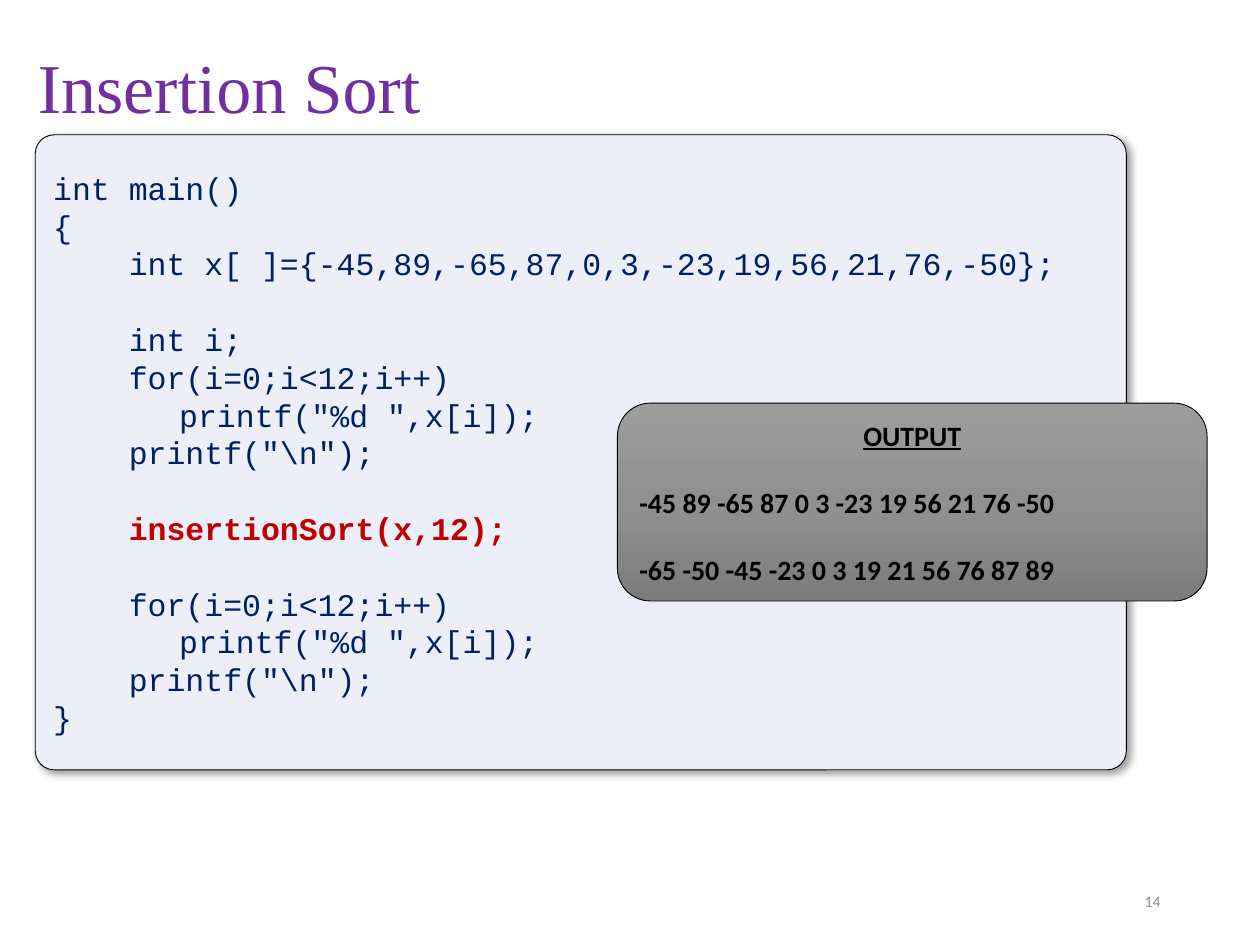
import copy

import pptx
import pptx.dml.color
import pptx.enum.shapes
import pptx.enum.text
import pptx.oxml
import pptx.oxml.ns
import pptx.util

Inches, Pt = pptx.util.Inches, pptx.util.Pt
RGBColor = pptx.dml.color.RGBColor
ALIGN = pptx.enum.text.PP_ALIGN
MIDDLE = pptx.enum.text.MSO_ANCHOR.MIDDLE
ROUNDED = pptx.enum.shapes.MSO_SHAPE.ROUNDED_RECTANGLE
qn = pptx.oxml.ns.qn

PURPLE = RGBColor(0x70, 0x30, 0xA0)
NAVY = RGBColor(0x00, 0x20, 0x60)
RED = RGBColor(0xC0, 0x00, 0x00)
BLACK = RGBColor(0x00, 0x00, 0x00)
GREY = RGBColor(0x8C, 0x8C, 0x8C)
PALE_BLUE = RGBColor(0xEC, 0xEF, 0xF8)
OUTPUT_GRADIENT = [
    (0, RGBColor(0x9D, 0x9D, 0x9D)),
    (0.5, RGBColor(0x90, 0x90, 0x90)),
    (1, RGBColor(0x7C, 0x7C, 0x7C)),
]

TITLE_FORMAT = {"name": "Times New Roman", "size": Pt(40), "color": PURPLE}
NUMBER_FORMAT = {"name": "Calibri", "size": Pt(9), "color": GREY}
CODE_FORMAT = {"name": "Courier New", "size": Pt(18), "color": NAVY}
CALL_FORMAT = {**CODE_FORMAT, "color": RED, "bold": True}
OUTPUT_FORMAT = {"name": "Calibri", "size": Pt(16), "color": BLACK, "bold": True}
HEADING_FORMAT = {**OUTPUT_FORMAT, "underline": True}

CODE_PITCH = Pt(21.6)
OUTPUT_PITCH = Pt(19.2)

# Each block of code is set apart by one line of space
HIGHLIGHTED_CALL = "insertionSort(x,12);"
PRINT_LOOP = [
    "    for(i=0;i<12;i++)",
    "\tprintf(\"%d \",x[i]);",
    "    printf(\"\\n\");",
]
CODE_BLOCKS = [
    ["int main()", "{", "    int x[ ]={-45,89,-65,87,0,3,-23,19,56,21,76,-50};"],
    ["    int i;", *PRINT_LOOP],
    ["    " + HIGHLIGHTED_CALL],
    [*PRINT_LOOP, "}"],
]
OUTPUT_LINES = [
    "-45 89 -65 87 0 3 -23 19 56 21 76 -50",
    "-65 -50 -45 -23 0 3 19 21 56 76 87 89",
]


def add_run(paragraph, text, formatting):
    run = paragraph.add_run()
    run.text = text
    for attribute, value in formatting.items():
        if attribute == "color":
            run.font.color.rgb = value
        else:
            setattr(run.font, attribute, value)


def next_paragraph(frame, alignment=ALIGN.LEFT):
    first = frame.paragraphs[0]
    paragraph = frame.add_paragraph() if first.runs else first
    paragraph.alignment = alignment
    return paragraph


def add_panel(slide, box):
    panel = slide.shapes.add_shape(ROUNDED, *box)
    panel.shadow.inherit = False
    panel.line.color.rgb = BLACK
    panel.line.width = Pt(0.5)
    panel.text_frame.word_wrap = True
    panel.text_frame.vertical_anchor = MIDDLE
    return panel


def add_soft_shadow(panel):
    effects = panel._element.spPr.find(qn("a:effectLst"))
    effects.append(pptx.oxml.parse_xml(
        f'<a:outerShdw {pptx.oxml.ns.nsdecls("a")} blurRad="{Pt(4)}" '
        f'dist="{Pt(3)}" dir="2700000" algn="tl" rotWithShape="0">'
        '<a:srgbClr val="000000"><a:alpha val="40000"/></a:srgbClr>'
        '</a:outerShdw>'))


def add_tab_stop(paragraph, position):
    tabs = pptx.oxml.parse_xml(
        f'<a:tabLst {pptx.oxml.ns.nsdecls("a")}>'
        f'<a:tab pos="{position}" algn="l"/></a:tabLst>')
    paragraph._p.get_or_add_pPr().append(tabs)


def place_title(slide, box):
    title = slide.shapes.title
    title.left, title.top, title.width, title.height = box
    title.text_frame.vertical_anchor = MIDDLE
    paragraph = next_paragraph(title.text_frame)
    paragraph.line_spacing = 0.9
    add_run(paragraph, "Insertion Sort", TITLE_FORMAT)


def place_slide_number(slide, box):
    number = slide.shapes.add_textbox(*box)
    number.text_frame.word_wrap = True
    number.text_frame.vertical_anchor = MIDDLE
    add_run(next_paragraph(number.text_frame, ALIGN.RIGHT), "14", NUMBER_FORMAT)


def place_code(slide, box):
    panel = add_panel(slide, box)
    panel.adjustments[0] = 0.03
    panel.fill.solid()
    panel.fill.fore_color.rgb = PALE_BLUE
    add_soft_shadow(panel)

    for block_index, block in enumerate(CODE_BLOCKS):
        for line_index, line in enumerate(block):
            paragraph = next_paragraph(panel.text_frame)
            if line.startswith("\t"):
                add_tab_stop(paragraph, Inches(1))
            paragraph.line_spacing = CODE_PITCH
            if block_index and line_index == 0:
                paragraph.space_before = CODE_PITCH
            indent, call, _ = line.partition(HIGHLIGHTED_CALL)
            add_run(paragraph, indent, CODE_FORMAT)
            if call:
                add_run(paragraph, call, CALL_FORMAT)


def place_output(slide, box):
    panel = add_panel(slide, box)

    # Three-stop gradient, light at the top
    panel.fill.gradient()
    panel.fill.gradient_angle = 270
    stops = panel._element.spPr.find(".//" + qn("a:gsLst"))
    stops.insert(1, copy.deepcopy(stops[0]))
    for stop, (position, color) in zip(panel.fill.gradient_stops, OUTPUT_GRADIENT):
        stop.position = position
        stop.color.rgb = color

    heading = next_paragraph(panel.text_frame, ALIGN.CENTER)
    heading.line_spacing = OUTPUT_PITCH
    add_run(heading, "OUTPUT", HEADING_FORMAT)
    for line in OUTPUT_LINES:
        paragraph = next_paragraph(panel.text_frame)
        paragraph.line_spacing = OUTPUT_PITCH
        paragraph.space_before = OUTPUT_PITCH
        add_run(paragraph, line, OUTPUT_FORMAT)


def main():
    presentation = pptx.Presentation()
    presentation.slide_width = Inches(10)
    presentation.slide_height = Inches(7.5)
    slide = presentation.slides.add_slide(presentation.slide_layouts[5])

    place_slide_number(slide, (Inches(7.06), Inches(6.95), Inches(2.25), Inches(0.4)))
    place_title(slide, (Inches(0.2), Inches(0.21), Inches(9.53), Inches(1.02)))
    place_code(slide, (Inches(0.28), Inches(1.07), Inches(8.66), Inches(5.04)))
    place_output(slide, (Inches(4.9), Inches(3.2), Inches(4.68), Inches(1.57)))

    presentation.save("out.pptx")


if __name__ == "__main__":
    main()
